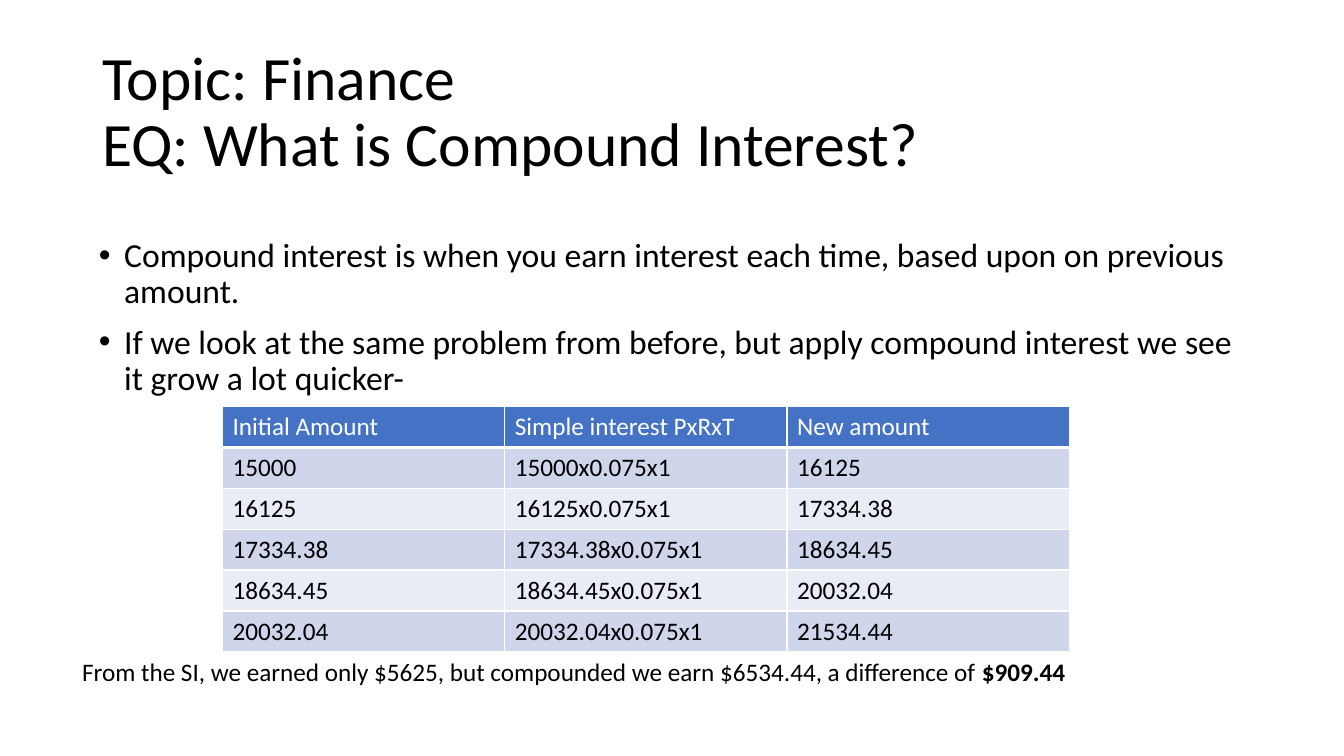
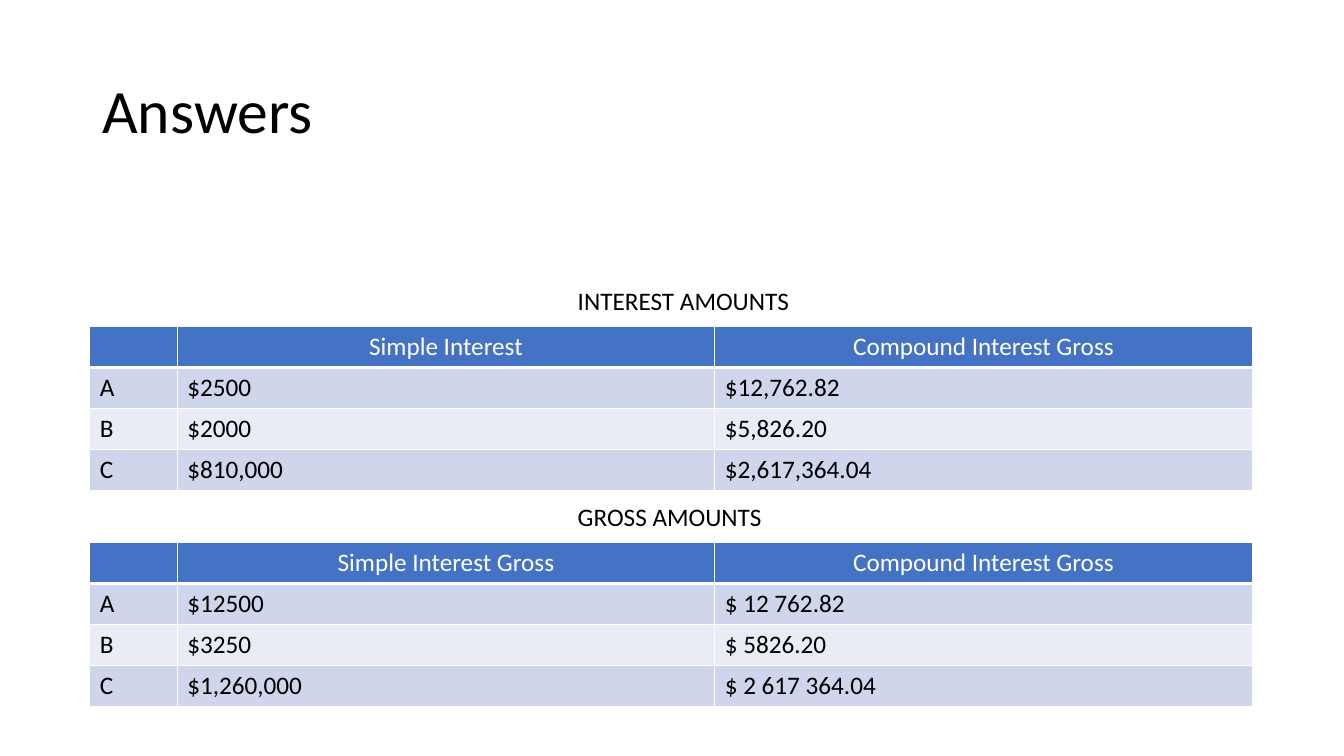
from dataclasses import dataclass
from typing import Any

from lxml import etree
from pptx import Presentation
from pptx.dml.color import RGBColor
from pptx.enum import text
from pptx.oxml import ns
from pptx.util import Emu, Pt

COLS, ROWS = 160, 90
UNIT = 76200  # one square grid step, 1/12 inch


@dataclass(frozen=True)
class Theme:
    font: str = "Calibri"
    ink: str = "000000"
    paper: str = "FFFFFF"
    header: str = "4472C4"
    bands: tuple[str, str] = ("CFD5EA", "E9EBF5")
    title_size: int = 44
    body_size: int = 24
    small_size: int = 18
    line_spacing: float = 0.9
    rule: int = 1
    header_rule: int = 3


@dataclass(frozen=True)
class Box:
    """A place on the slide, in grid columns and rows."""
    left: float
    top: float
    width: float
    height: float


@dataclass(frozen=True)
class Grid:
    left: float
    top: float
    widths: tuple[float, ...]
    cells: tuple[tuple[str, ...], ...]
    header_align: Any = text.PP_ALIGN.LEFT


@dataclass(frozen=True)
class Answer:
    caption: str
    cells: tuple[tuple[str, ...], ...]


THEME = Theme()
TITLE = Box(11, 4.8, 138, 17.4)
BODY = Box(10.6, 27.8, 138.4, 47.8)
NOTE = Box(8.6, 77.5, 142.4, 4.8)
ROW_HEIGHT = 4.87
ANSWER_TOP, ANSWER_PITCH = 38.9, 25.7
CAPTION_LEFT, CAPTION_WIDTH, CAPTION_RISE = 67.6, 30, 5.5

BULLETS = (
    "Compound interest is when you earn interest each time, based upon on previous amount.",
    "If we look at the same problem from before, but apply compound interest we see it grow a lot quicker-",
)
AMOUNTS = ("15000", "16125", "17334.38", "18634.45", "20032.04", "21534.44")
GROWTH = Grid(26.5, 48.4, (33.6,) * 3, (
    ("Initial Amount", "Simple interest PxRxT", "New amount"),
    *((old, f"{old}x0.075x1", new) for old, new in zip(AMOUNTS, AMOUNTS[1:])),
))
ANSWERS = (
    Answer("INTEREST AMOUNTS", (
        ("", "Simple Interest", "Compound Interest Gross"),
        ("A", "$2500", "$12,762.82"),
        ("B", "$2000", "$5,826.20"),
        ("C", "$810,000", "$2,617,364.04"),
    )),
    Answer("GROSS AMOUNTS", (
        ("", "Simple Interest Gross", "Compound Interest Gross"),
        ("A", "$12500", "$ 12 762.82"),
        ("B", "$3250", "$ 5826.20"),
        ("C", "$1,260,000", "$ 2 617 364.04"),
    )),
)


def steps(count: float) -> Emu:
    return Emu(round(count * UNIT))


def style(p: Any, size: int, color: str = THEME.ink) -> None:
    for r in p.runs:
        r.font.name = THEME.font
        r.font.size = Pt(size)
        r.font.bold = False
        r.font.color.rgb = RGBColor.from_string(color)


def add_text(slide: Any, box: Box, content: str, size: int) -> Any:
    sp = slide.shapes.add_textbox(
        *map(steps, (box.left, box.top, box.width, box.height)))
    tf = sp.text_frame
    tf.word_wrap = True
    for i, line in enumerate(content.split("\n")):
        p = tf.add_paragraph() if i else tf.paragraphs[0]
        p.text = line
        style(p, size)
    return tf


def add_title(slide: Any, content: str) -> None:
    tf = add_text(slide, TITLE, content, THEME.title_size)
    tf.vertical_anchor = text.MSO_ANCHOR.MIDDLE
    tf.paragraphs[0].line_spacing = THEME.line_spacing


def add_bullets(slide: Any, items: tuple[str, ...]) -> None:
    tf = add_text(slide, BODY, "\n".join(items), THEME.body_size)
    for i, p in enumerate(tf.paragraphs):
        p.line_spacing = THEME.line_spacing
        if i:
            p.space_before = Pt(10)
        props = p._p.get_or_add_pPr()
        indent = steps(3)
        props.set("marL", str(indent))
        props.set("indent", str(-indent))
        etree.SubElement(props, ns.qn("a:buFont")).set("typeface", "Arial")
        etree.SubElement(props, ns.qn("a:buChar")).set("char", "•")


def add_borders(cell: Any, bottom: int) -> None:
    props = cell._tc.get_or_add_tcPr()
    for side in "LRTB":
        width = bottom if side == "B" else THEME.rule
        ln = etree.SubElement(props, ns.qn(f"a:ln{side}"), w=str(Pt(width)))
        fill = etree.SubElement(ln, ns.qn("a:solidFill"))
        etree.SubElement(fill, ns.qn("a:srgbClr"), val=THEME.paper)


def format_cell(cell: Any, row: int, content: str, align: Any) -> None:
    is_header = row == 0
    add_borders(cell, THEME.header_rule if is_header else THEME.rule)
    cell.fill.solid()
    color = THEME.header if is_header else THEME.bands[(row - 1) % 2]
    cell.fill.fore_color.rgb = RGBColor.from_string(color)
    p = cell.text_frame.paragraphs[0]
    if content:
        p.text = content
    if is_header:
        p.alignment = align
    style(p, THEME.small_size, THEME.paper if is_header else THEME.ink)


def add_grid(slide: Any, grid: Grid) -> None:
    count = len(grid.cells)
    table = slide.shapes.add_table(
        count, len(grid.widths), steps(grid.left), steps(grid.top),
        steps(sum(grid.widths)), steps(count * ROW_HEIGHT)).table
    table.first_row = table.horz_banding = False
    for column, width in zip(table.columns, grid.widths):
        column.width = steps(width)
    for i, values in enumerate(grid.cells):
        table.rows[i].height = steps(ROW_HEIGHT)
        for j, value in enumerate(values):
            format_cell(table.cell(i, j), i, value, grid.header_align)


def add_slide(prs: Any, title: str) -> Any:
    slide = prs.slides.add_slide(prs.slide_layouts[6])
    add_title(slide, title)
    return slide


def build_lesson(prs: Any) -> None:
    slide = add_slide(prs, "Topic: Finance\vEQ: What is Compound Interest?")
    add_bullets(slide, BULLETS)
    add_grid(slide, GROWTH)
    tf = add_text(
        slide, NOTE,
        "From the SI, we earned only $5625, but compounded we earn $6534.44, a difference of ",
        THEME.small_size)
    p = tf.paragraphs[0]
    r = p.add_run()
    r.text = "$909.44"
    style(p, THEME.small_size)
    r.font.bold = True


def build_answers(prs: Any) -> None:
    slide = add_slide(prs, "Answers")
    for i, answer in enumerate(ANSWERS):
        top = ANSWER_TOP + i * ANSWER_PITCH
        add_grid(slide, Grid(10.7, top, (10.4, 64, 64), answer.cells,
                             text.PP_ALIGN.CENTER))
        caption = Box(CAPTION_LEFT, top - CAPTION_RISE, CAPTION_WIDTH, 4.8)
        add_text(slide, caption, answer.caption, THEME.small_size)


def main() -> None:
    prs = Presentation()
    prs.slide_width, prs.slide_height = steps(COLS), steps(ROWS)
    build_lesson(prs)
    build_answers(prs)
    prs.save("out.pptx")


if __name__ == "__main__":
    main()
